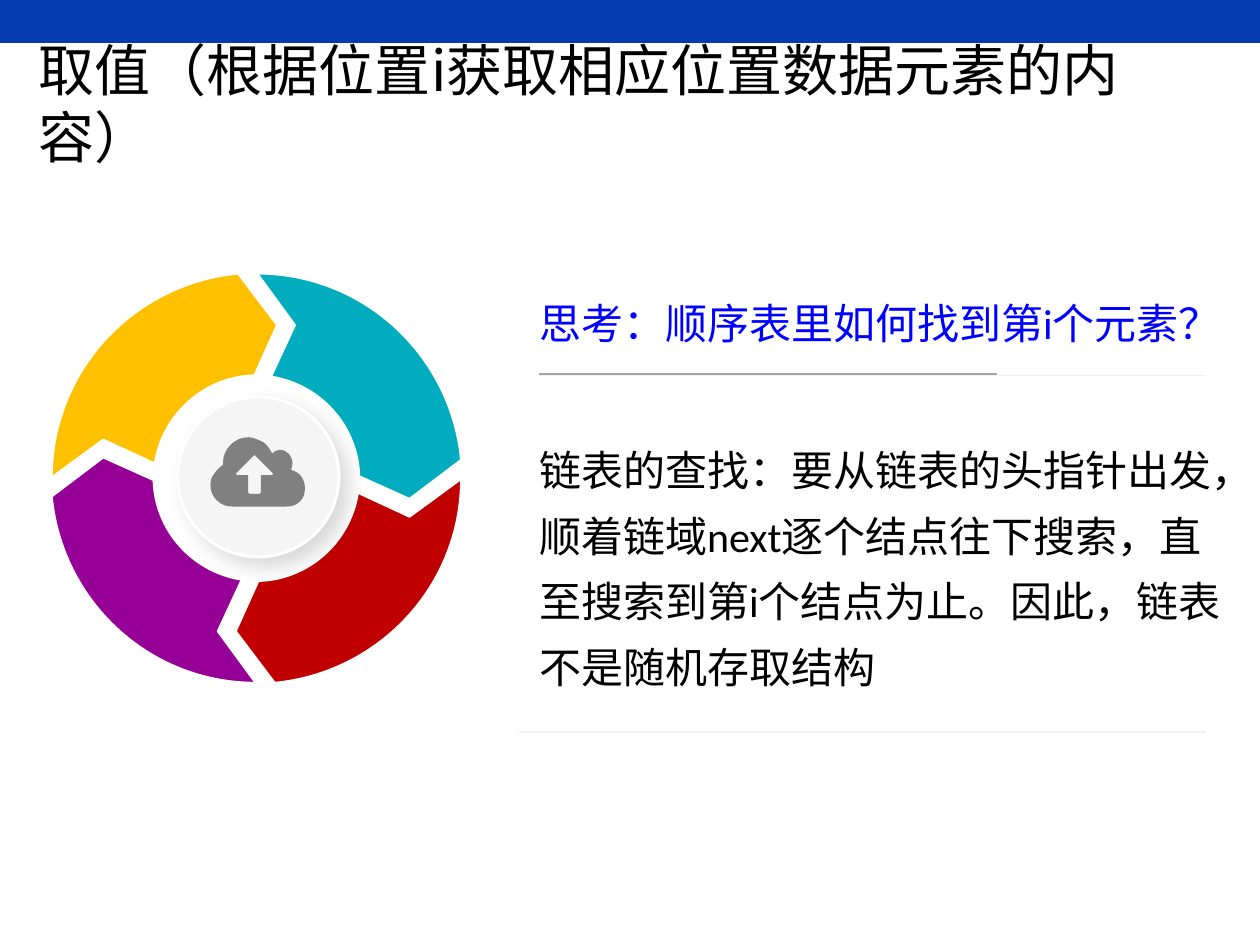
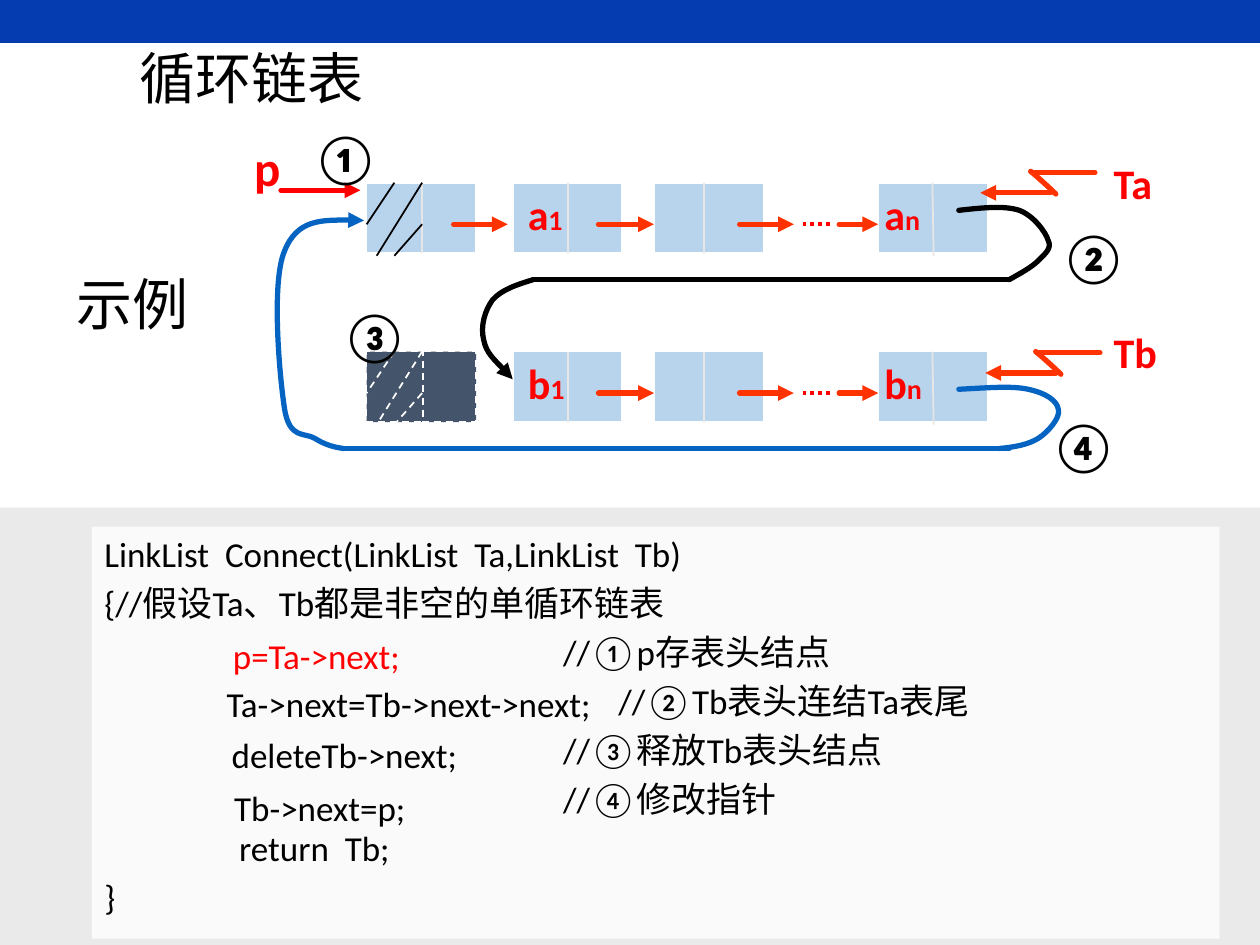
from dataclasses import dataclass
from math import cos, pi, sin

from lxml.etree import SubElement
from pptx import Presentation
from pptx.dml.color import RGBColor
from pptx.enum.dml import MSO_LINE
from pptx.enum.shapes import MSO_CONNECTOR, MSO_SHAPE
from pptx.enum.text import MSO_ANCHOR, PP_ALIGN
from pptx.oxml.ns import qn
from pptx.util import Emu, Pt

PX_PER_INCH = 100
SCALE = 914400 // PX_PER_INCH
SLIDE_W, SLIDE_H = 1000, 750

LATIN, HAN = "Calibri", "Noto Sans CJK SC"
BLACK, WHITE, RED, BLUE = "000000", "FFFFFF", "FF0000", "0000FF"
BAND, ORANGE, LINK, NODE = "053CAF", "FF3300", "0563C1", "B8D4EC"
PALE, DIVIDER, DELETED = "F1F0F0", "E7E6E6", "44546A"

Point = tuple[float, float]
Contour = list[list[Point]]


@dataclass(frozen=True)
class Stroke:
    color: str
    width: float = 1
    dash: MSO_LINE | None = None
    arrow: bool = False


@dataclass(frozen=True)
class Box:
    left: int
    top: int
    width: int
    height: int


@dataclass(frozen=True)
class Line:
    text: str
    size: int = 20
    color: str = BLACK
    bold: bool = False
    subscript: str = ""
    indent: int = 0
    before: float = 0
    leading: float = 1.2
    latin: str = LATIN


@dataclass(frozen=True)
class NodeRow:
    top: int
    letter: str
    tail_name: str
    head_fill: str
    head_stroke: Stroke
    hatch: Stroke
    pointer_shift: Point


POINTER = Stroke(ORANGE, 3, arrow=True)
FRAME = Stroke(WHITE)
DASHED = Stroke(WHITE, dash=MSO_LINE.DASH)
SPLIT = Stroke(DIVIDER)


def px(length: float) -> Emu:
    return Emu(round(length * SCALE))


def rgb(color: str) -> RGBColor:
    return RGBColor.from_string(color)


def apply_stroke(line, stroke: Stroke) -> None:
    line.color.rgb = rgb(stroke.color)
    line.width = Pt(stroke.width)
    if stroke.dash:
        line.dash_style = stroke.dash
    if stroke.width == 3:
        line._get_or_add_ln().set("cap", "rnd")
    if stroke.arrow:
        SubElement(line._get_or_add_ln(), qn("a:tailEnd"), type="triangle")


def paint(shape, fill: str | None, stroke: Stroke | None):
    shape.shadow.inherit = False
    if fill:
        shape.fill.solid()
        shape.fill.fore_color.rgb = rgb(fill)
    else:
        shape.fill.background()
    if stroke:
        apply_stroke(shape.line, stroke)
    else:
        shape.line.fill.background()
    return shape


def add_block(slide, box: Box, fill: str, stroke: Stroke | None = None,
              kind: MSO_SHAPE = MSO_SHAPE.RECTANGLE):
    shape = slide.shapes.add_shape(
        kind, px(box.left), px(box.top), px(box.width), px(box.height))
    return paint(shape, fill, stroke)


def add_line(slide, start: Point, end: Point, stroke: Stroke) -> None:
    connector = slide.shapes.add_connector(
        MSO_CONNECTOR.STRAIGHT, *map(px, (*start, *end)))
    apply_stroke(connector.line, stroke)
    SubElement(connector._element.spPr, qn("a:effectLst"))


def curve(points: list[Point]) -> Contour:
    return [points[:1], *(points[k:k + 3] for k in range(1, len(points), 3))]


def extent(contours: list[Contour], axis: int) -> tuple[float, float]:
    reached = []
    for contour in contours:
        last = contour[0][0][axis]
        for segment in contour:
            values = [point[axis] for point in segment]
            if len(values) == 3:
                b, c, d = values
                for t in (k / 20 for k in range(20)):
                    u = 1 - t
                    reached.append(u ** 3 * last + 3 * u * u * t * b
                                   + 3 * u * t * t * c + t ** 3 * d)
            last = values[-1]
            reached.append(last)
    return min(reached), max(reached)


def add_outline(slide, *contours: Contour, fill: str | None = None,
                stroke: Stroke | None = None) -> None:
    (left, right), (top, bottom) = (extent(contours, axis) for axis in (0, 1))
    builder = slide.shapes.build_freeform(px(left), px(top))
    builder.add_line_segments([(px(right), px(bottom))], close=False)
    shape = paint(builder.convert_to_shape(), fill, stroke)
    outline = shape._element.spPr.find(".//" + qn("a:path"))
    for command in list(outline):
        outline.remove(command)
    for contour in contours:
        for number, segment in enumerate(contour):
            tag = "a:cubicBezTo" if len(segment) == 3 else "a:lnTo"
            command = SubElement(outline, qn(tag if number else "a:moveTo"))
            for x, y in segment:
                SubElement(command, qn("a:pt"), x=str(px(x - left)), y=str(px(y - top)))
        if fill:
            SubElement(outline, qn("a:close"))


def write(frame, lines: list[Line], anchor: MSO_ANCHOR = MSO_ANCHOR.TOP) -> None:
    frame.word_wrap = True
    frame.vertical_anchor = anchor
    for number, line in enumerate(lines):
        paragraph = frame.add_paragraph() if number else frame.paragraphs[0]
        paragraph.add_run().text = line.text
        if line.subscript:
            index = paragraph.add_run()
            index.text = line.subscript
            index.font.size = Pt(16)
        paragraph.alignment = PP_ALIGN.LEFT
        paragraph.line_spacing = Pt(round(line.size * line.leading, 1))
        if number:
            paragraph.space_before = Pt(line.before)
        font = paragraph.font
        font.size, font.bold, font.name = Pt(line.size), line.bold, line.latin
        font.color.rgb = rgb(line.color)
        properties = paragraph._p.get_or_add_pPr()
        SubElement(properties.find(qn("a:defRPr")), qn("a:ea"), typeface=HAN)
        if line.indent:
            properties.set("marL", str(px(line.indent)))


def add_text(slide, box: Box, *lines: Line,
             anchor: MSO_ANCHOR = MSO_ANCHOR.TOP) -> None:
    area = slide.shapes.add_textbox(
        px(box.left), px(box.top), px(box.width), px(box.height))
    write(area.text_frame, list(lines), anchor)


def start_slide(deck, title: str, title_box: Box):
    slide = deck.slides.add_slide(deck.slide_layouts[6])
    add_block(slide, Box(0, 0, SLIDE_W, 34), BAND)
    add_text(slide, title_box, Line(title, 32, latin=HAN),
             anchor=MSO_ANCHOR.MIDDLE)
    return slide


def add_cycle(slide) -> None:
    center_x, center_y = 203.5, 379.5
    blade = [[(285, 378)], [(325, 396)], [(366, 365)],
             [(358, 282), (289, 217), (204, 217)], [(234, 258)], [(215, 299)],
             [(254, 305), (284, 338), (285, 378)]]
    for quarter, color in enumerate(("01ACBE", "FFC000", "960096", "C00000")):
        c, s = cos(-quarter * pi / 2), sin(-quarter * pi / 2)
        turned = [[(center_x + (x - center_x) * c - (y - center_y) * s,
                    center_y + (x - center_x) * s + (y - center_y) * c)
                   for x, y in segment] for segment in blade]
        add_outline(slide, turned, fill=color, stroke=Stroke(WHITE, 1.25))

    hub = add_block(slide, Box(141, 315, 128, 127), "F5F5F5",
                    Stroke(WHITE, 1.75), MSO_SHAPE.OVAL)
    effects = hub._element.spPr.find(qn("a:effectLst"))
    shadow = SubElement(effects, qn("a:outerShdw"), blurRad=str(Pt(11)),
                        dist=str(Pt(7)), dir="2700000", algn="tl", rotWithShape="0")
    tint = SubElement(shadow, qn("a:srgbClr"), val=BLACK)
    SubElement(tint, qn("a:alpha"), val="14000")

    cloud = [*curve([
        (197, 347), (201, 347), (205, 349), (209, 351), (212, 353), (214, 356),
        (216, 360), (218, 358), (220, 357), (222, 357), (225, 357), (227, 358),
        (229, 360), (231, 362), (232, 365), (232, 367), (232, 369), (232, 371),
        (231, 373), (234, 374), (237, 375), (239, 378), (241, 381), (242, 384),
        (242, 387), (242, 392), (241, 395), (238, 398), (235, 401), (232, 402),
        (227, 402)]), [(185, 402)], *curve([
            (185, 402), (180, 402), (176, 401), (172, 397), (169, 394), (167, 390),
            (167, 385), (167, 382), (168, 378), (170, 376), (172, 373), (174, 371),
            (177, 369), (177, 368), (177, 368), (177, 367), (177, 362), (179, 357),
            (183, 353), (187, 349), (192, 347), (197, 347)])[1:]]
    upload = [[point] for point in (
        (202, 361), (187, 376), (188, 377), (197, 377), (197, 391), (198, 392),
        (206, 392), (207, 391), (207, 377), (216, 377), (217, 376))]
    add_outline(slide, cloud, upload, fill="808080")


def build_lookup(deck) -> None:
    slide = start_slide(deck, "取值（根据位置i获取相应位置数据元素的内容）",
                        Box(21, 53, 958, 57))
    add_text(
        slide, Box(418, 219, 565, 357),
        Line("思考：顺序表里如何找到第i个元素？", 24, BLUE, leading=1.56),
        Line("链表的查找：要从链表的头指针出发，顺着链域next逐个结点往下搜索，"
             "直至搜索到第i个结点为止。因此，链表不是随机存取结构",
             24, before=47, leading=1.56))
    add_cycle(slide)
    for left, right, y, color in ((428, 791, 297, "A6A6A6"),
                                  (428, 957, 298, PALE), (412, 957, 581, PALE)):
        add_line(slide, (left, y), (right, y), Stroke(color))


def add_node_row(slide, row: NodeRow) -> None:
    top, middle, bottom = row.top, row.top + 33, row.top + 56
    add_block(slide, Box(291, top, 87, 56), row.head_fill, row.head_stroke)
    for left in (407, 519, 697):
        add_block(slide, Box(left, top, 87, 56), NODE, FRAME)
    if row.head_stroke == DASHED:
        add_line(slide, (336, top - 2), (336, bottom - 1), DASHED)
    else:
        add_line(slide, (335, top), (335, bottom), SPLIT)
        add_line(slide, (360, middle), (403, middle), POINTER)
    for x, end in ((451, (451, bottom)), (559, (559, bottom)),
                   (740, (741, bottom + 2))):
        add_line(slide, (x, top), end, SPLIT)
    for start, end in (((313, top), (291, middle)),
                       ((335, top), (299, top + 58)),
                       ((335, middle), (313, top + 58))):
        add_line(slide, start, end, row.hatch)
    for left, right in ((475, 519), (587, 630), (666, 697)):
        add_line(slide, (left, middle), (right, middle), POINTER)
    add_line(slide, (637, middle), (661, middle),
             Stroke(RED, 2.25, MSO_LINE.ROUND_DOT))
    for left, index in ((409, "1"), (692, "n")):
        add_text(slide, Box(left, top, 55, 51),
                 Line(row.letter, 24, RED, True, index))
    add_text(slide, Box(874, top - 25, 75, 50), Line(row.tail_name, 24, RED, True))

    dx, dy = row.pointer_shift
    plain = Stroke(ORANGE, 3)
    add_line(slide, (873 + dx, 280 + dy), (824 + dx, 280 + dy), plain)
    add_outline(slide, curve([(x + dx, y + dy) for x, y in (
        (822, 279), (826, 282), (838, 293), (842, 297))]), stroke=plain)
    add_line(slide, (838 + dx, 296 + dy), (782 + dx, 296 + dy), POINTER)


def add_rewiring(slide) -> None:
    for y, left, color in ((222, 423, BLACK), (356, 273, LINK)):
        add_line(slide, (left, y), (801, y), Stroke(color, 3))
    black, black_arrow = Stroke(BLACK, 3), Stroke(BLACK, 3, arrow=True)
    blue, blue_arrow = Stroke(LINK, 3), Stroke(LINK, 3, arrow=True)
    for route, stroke in (
        ([(423, 222), (410, 226), (398, 230), (391, 238), (385, 246), (381, 259),
          (384, 270), (386, 280), (397, 290), (407, 301)], black_arrow),
        ([(761, 167), (779, 165), (797, 163), (809, 167), (820, 171), (830, 184),
          (832, 191), (835, 197), (830, 201), (824, 207), (819, 212), (810, 217),
          (801, 222)], black),
        ([(761, 309), (782, 308), (803, 306), (816, 309), (830, 312), (839, 318),
          (840, 325), (842, 331), (832, 343), (824, 348), (816, 353), (805, 355),
          (793, 356)], blue),
        ([(273, 356), (265, 355), (258, 353), (250, 348), (242, 343), (230, 349),
          (226, 325), (222, 300), (215, 224), (226, 199), (236, 174), (263, 174),
          (289, 175)], blue_arrow),
    ):
        add_outline(slide, curve(route), stroke=stroke)

    add_line(slide, (223, 151), (286, 151), Stroke(RED, 3, arrow=True))
    add_text(slide, Box(192, 104, 48, 57), Line("p", 28, RED, True))
    for step, left, top, width in (("①", 239, 96, 44), ("②", 833, 175, 60),
                                   ("③", 262, 238, 60), ("④", 825, 325, 60)):
        add_text(slide, Box(left, top, width, 57), Line(step, 28, bold=True))


def build_circular_list(deck) -> None:
    slide = start_slide(deck, "循环链表", Box(101, 24, 784, 75))
    add_block(slide, Box(0, 403, SLIDE_W, 347), "EAEAEA")
    add_node_row(slide, NodeRow(145, "a", "Ta", NODE, FRAME, Stroke(BLACK), (-4, -143)))
    add_node_row(slide, NodeRow(279, "b", "Tb", DELETED, DASHED, DASHED, (0, 0)))
    add_rewiring(slide)

    listing = add_block(slide, Box(73, 418, 895, 327), "FAFAFA")
    write(listing.text_frame, [
        Line(text, indent=indent, before=4) for text, indent in (
            ("LinkList  Connect(LinkList  Ta,LinkList  Tb)", 0),
            ("{//假设Ta、Tb都是非空的单循环链表", 0),
            ("//①p存表头结点", 364),
            ("//②Tb表头连结Ta表尾", 408),
            ("//③释放Tb表头结点", 364),
            ("//④修改指针", 364),
            ("return  Tb;", 107),
            ("}", 0))])
    for code, left, top, width, color in (
        ("p=Ta->next;", 175, 499, 159, RED),
        ("Ta->next=Tb->next->next;", 170, 537, 597, BLACK),
        ("deleteTb->next;", 174, 577, 205, BLACK),
        ("Tb->next=p;", 176, 619, 170, BLACK),
    ):
        add_text(slide, Box(left, top, width, 44), Line(code, color=color))
    add_text(slide, Box(51, 209, 126, 64), Line("示例", 32))


def main() -> None:
    deck = Presentation()
    deck.slide_width, deck.slide_height = px(SLIDE_W), px(SLIDE_H)
    build_lookup(deck)
    build_circular_list(deck)
    deck.save("out.pptx")


if __name__ == "__main__":
    main()
